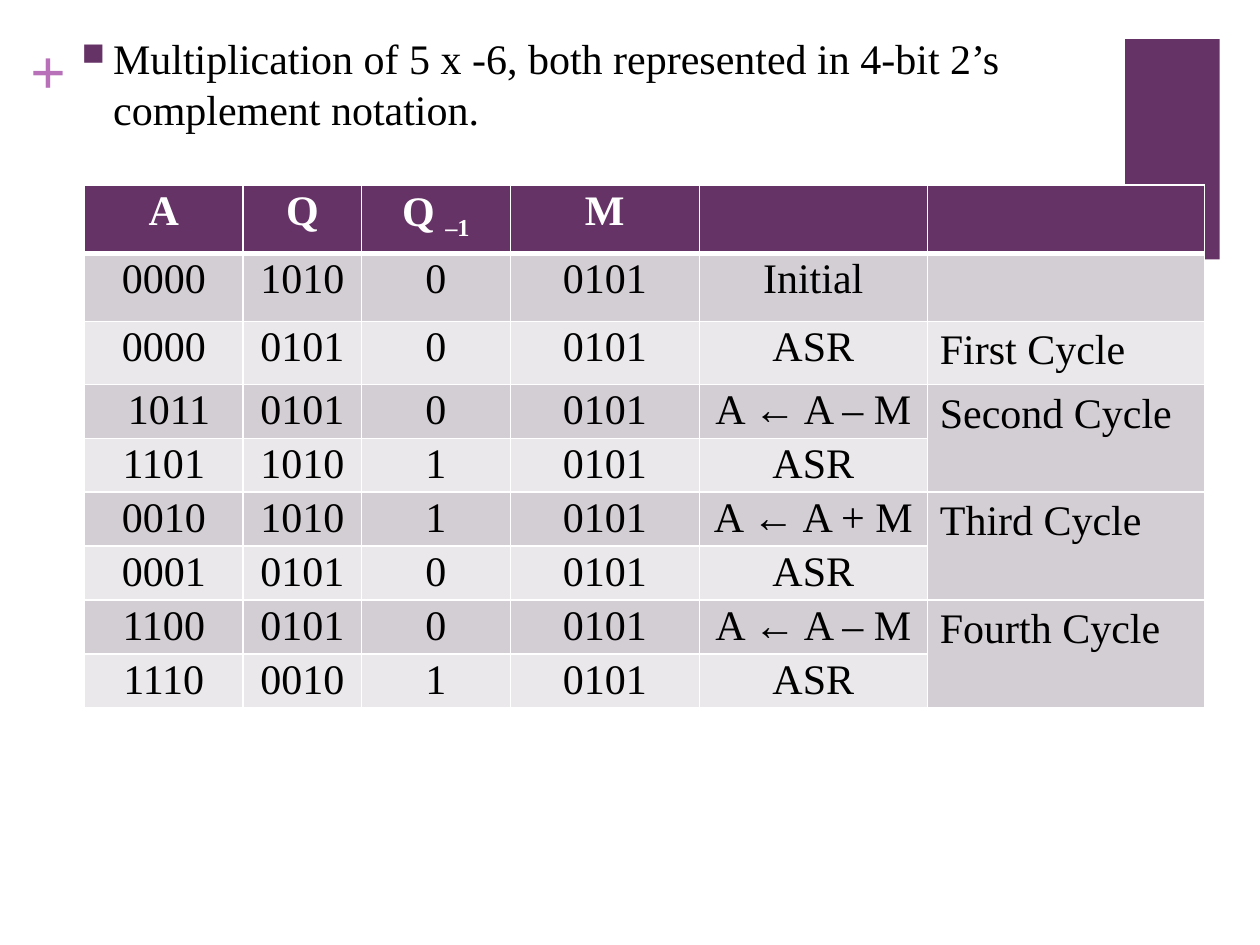
import pptx
import pptx.dml.color
import pptx.enum.shapes
import pptx.enum.text
import pptx.oxml
import pptx.oxml.ns
import pptx.util

Inches, Pt = pptx.util.Inches, pptx.util.Pt
PURPLE, WHITE, BLACK = "663366", "FFFFFF", "000000"
BANDS = ["D3CED3", "EAE8EA"]


def color(value):
    return pptx.dml.color.RGBColor.from_string(value)


def add_run(paragraph, text, size=24, fill=BLACK, bold=False):
    run = paragraph.add_run()
    run.text = text
    run.font.name = "Times New Roman"
    run.font.size = Pt(size)
    run.font.bold = bold
    run.font.color.rgb = color(fill)
    return run


deck = pptx.Presentation()
deck.slide_width, deck.slide_height = Inches(10), Inches(7.5)
slide = deck.slides.add_slide(deck.slide_layouts[6])

# Corner block and plus sign
corner = slide.shapes.add_shape(
    pptx.enum.shapes.MSO_SHAPE.RECTANGLE, Inches(8.93), Inches(0.31), Inches(0.75), Inches(1.75))
corner.shadow.inherit = False
corner.fill.solid()
corner.fill.fore_color.rgb = color(PURPLE)
corner.line.fill.background()

plus = slide.shapes.add_textbox(Inches(0.24), Inches(0.25), Inches(0.29), Inches(0.61)).text_frame
plus.margin_left = plus.margin_right = plus.margin_top = plus.margin_bottom = 0
add_run(plus.paragraphs[0], "+", 36, "B870B8", True)

# Bulleted statement
statement = slide.shapes.add_textbox(Inches(0.55), Inches(0.21), Inches(8.26), Inches(1.1)).text_frame
statement.word_wrap = True
bullet = statement.paragraphs[0]
bullet_format = bullet._p.get_or_add_pPr()
bullet_format.set("marL", str(Inches(0.25)))
bullet_format.set("indent", str(-Inches(0.25)))
namespace = pptx.oxml.ns.nsdecls("a")
for mark in (f'<a:buClr {namespace}><a:srgbClr val="{PURPLE}"/></a:buClr>',
             f'<a:buSzPct {namespace} val="75000"/>',
             f'<a:buChar {namespace} char="■"/>'):
    bullet_format.append(pptx.oxml.parse_xml(mark))
add_run(bullet, "Multiplication of 5 x -6, both represented in 4-bit 2’s complement notation.")

# Multiplication steps
steps = [
    ["A", "Q", "Q ", "M", "", ""],
    ["0000", "1010", "0", "0101", "Initial", ""],
    ["0000", "0101", "0", "0101", "ASR", "First Cycle"],
    [" 1011", "0101", "0", "0101", "A ← A – M", "Second Cycle"],
    ["1101", "1010", "1", "0101", "ASR", ""],
    ["0010", "1010", "1", "0101", "A ← A + M", "Third Cycle"],
    ["0001", "0101", "0", "0101", "ASR", ""],
    ["1100", "0101", "0", "0101", "A ← A – M", "Fourth Cycle"],
    ["1110", "0010", "1", "0101", "ASR", ""],
]
widths = [1.26, 0.94, 1.18, 1.5, 1.81, 2.2]
heights = [0.54, 0.54, 0.47] + [0.4] * 6
CYCLE = len(widths) - 1

table = slide.shapes.add_table(
    len(steps), len(widths), Inches(0.67), Inches(1.47), Inches(sum(widths)), Inches(sum(heights))).table
for column, width in zip(table.columns, widths):
    column.width = Inches(width)
for row, height in zip(table.rows, heights):
    row.height = Inches(height)

for r, step in enumerate(steps):
    for c, text in enumerate(step):
        cell = table.cell(r, c)

        # White rules, heavier under the header
        for side in "LRTB":
            heavy = (r, side) in [(0, "B"), (1, "T")]
            cell._tc.get_or_add_tcPr().append(pptx.oxml.parse_xml(
                f'<a:ln{side} {namespace} w="{Pt(3 if heavy else 1)}"><a:solidFill>'
                f'<a:srgbClr val="{WHITE}"/></a:solidFill></a:ln{side}>'))
        cell.fill.solid()
        cell.fill.fore_color.rgb = color(PURPLE if r == 0 else BANDS[(r - 1) % 2])

        if not text:
            continue
        paragraph = cell.text_frame.paragraphs[0]
        if c < CYCLE:
            cell.margin_left = cell.margin_right = Inches(0.07)
            cell.margin_top = cell.margin_bottom = 0
            paragraph.alignment = pptx.enum.text.PP_ALIGN.CENTER
            paragraph.line_spacing = 1.07
            paragraph.space_after = Pt(1)
        header = r == 0
        ink = WHITE if header else BLACK
        add_run(paragraph, text, fill=ink, bold=header)
        if text == "Q ":
            subscript = add_run(paragraph, "–1", fill=ink, bold=True)
            subscript._r.get_or_add_rPr().set("baseline", "-25000")

# Each later cycle spans two steps
for r in range(3, len(steps), 2):
    table.cell(r, CYCLE).merge(table.cell(r + 1, CYCLE))

deck.save("out.pptx")
